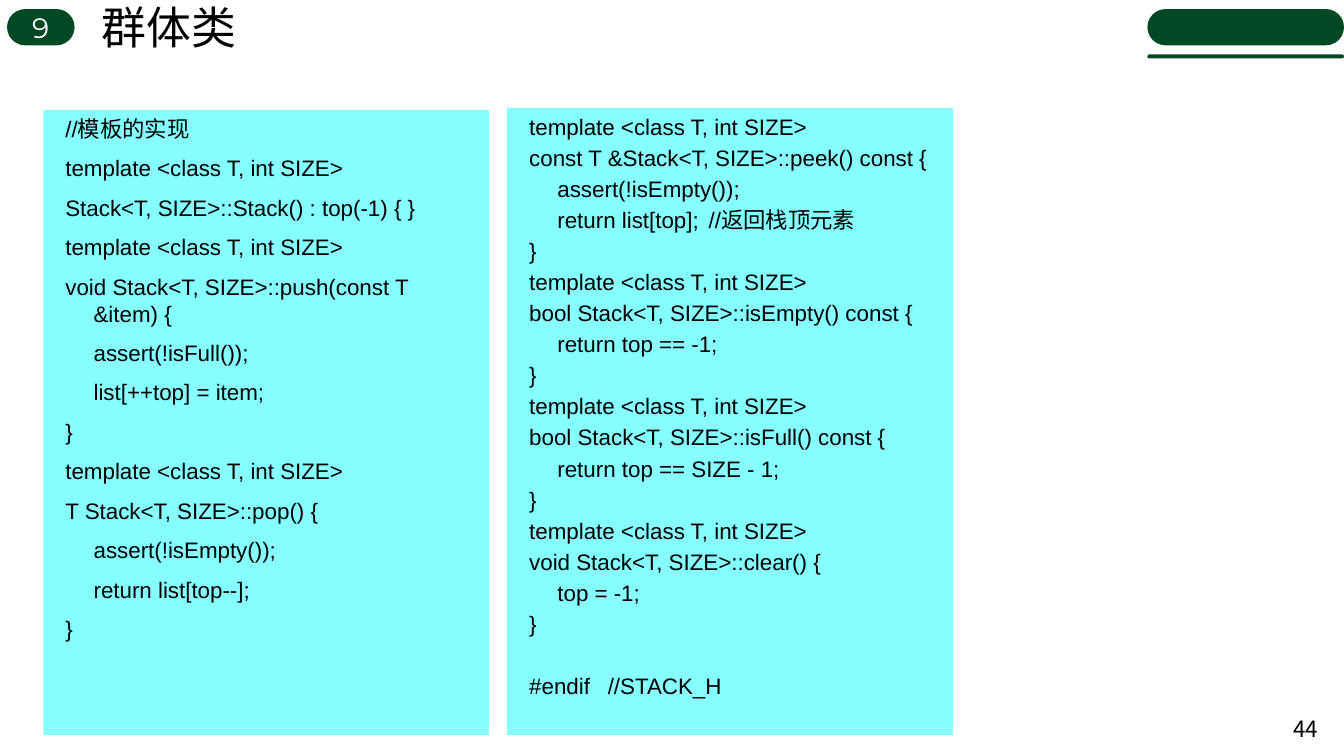
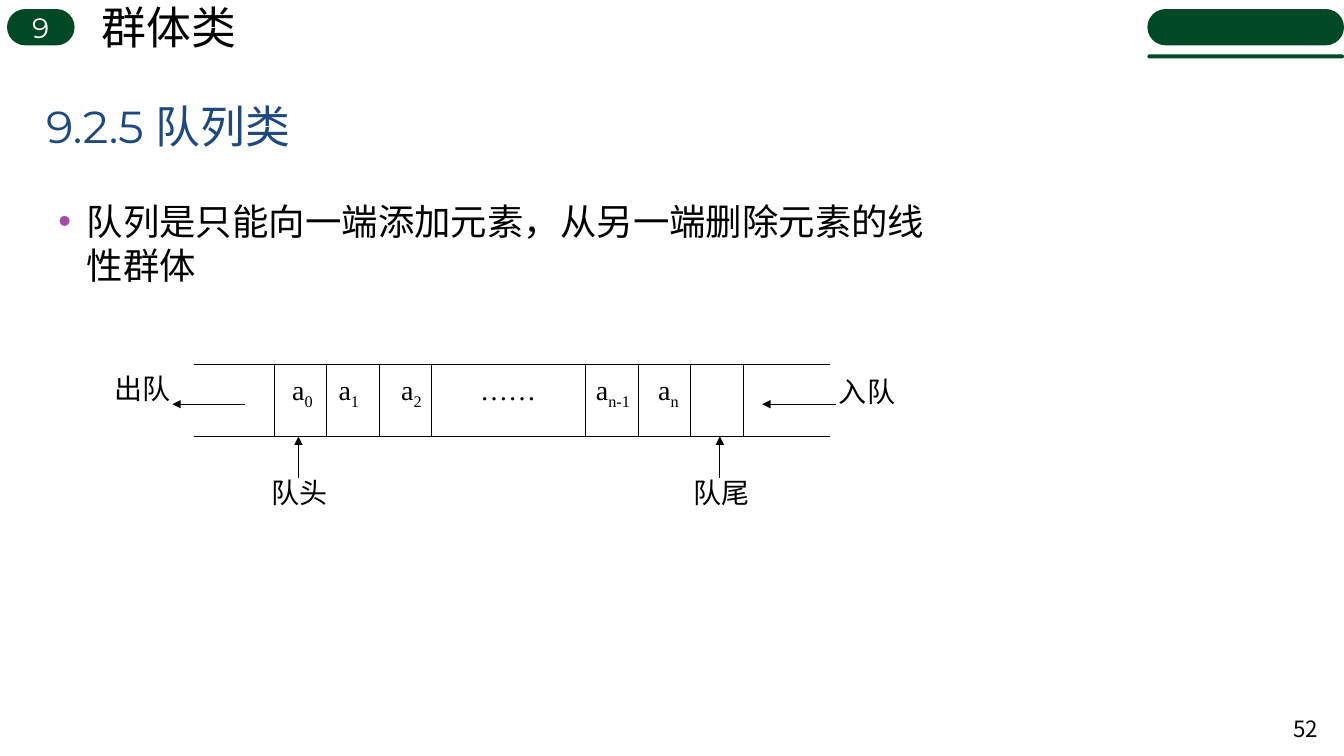
from dataclasses import dataclass

from lxml import etree
from pptx import Presentation
from pptx.dml.color import RGBColor
from pptx.enum.shapes import MSO_CONNECTOR, MSO_SHAPE
from pptx.enum.text import MSO_ANCHOR, MSO_AUTO_SIZE, PP_ALIGN
from pptx.oxml.ns import qn
from pptx.util import Inches, Pt

ROUNDED, RECTANGLE = MSO_SHAPE.ROUNDED_RECTANGLE, MSO_SHAPE.RECTANGLE
STRAIGHT = MSO_CONNECTOR.STRAIGHT
TOP, MIDDLE = MSO_ANCHOR.TOP, MSO_ANCHOR.MIDDLE
LEFT, CENTER, RIGHT = PP_ALIGN.LEFT, PP_ALIGN.CENTER, PP_ALIGN.RIGHT


@dataclass(frozen=True)
class Theme:
    green: RGBColor = RGBColor(0x01, 0x49, 0x24)
    cyan: RGBColor = RGBColor(0x85, 0xFF, 0xFF)
    blue: RGBColor = RGBColor(0x1F, 0x49, 0x7D)
    purple: RGBColor = RGBColor(0xA0, 0x4D, 0xA3)
    black: RGBColor = RGBColor(0, 0, 0)
    white: RGBColor = RGBColor(0xFF, 0xFF, 0xFF)
    sans: str = "Arial"
    display: str = "Montserrat"
    chinese: str = "Noto Sans CJK SC"
    serif: str = "Times New Roman"
    title_size: int = 32
    body_size: int = 26
    label_size: int = 20
    code_size: int = 16
    code_line: float = 19.2
    body_line: float = 32
    rule: float = 0.75
    hanging: float = 0.28
    indent: float = 0.4


THEME = Theme()

CHAPTER_NUMBER = "9"
CHAPTER_TITLE = "群体类"

TEMPLATE = "template <class T, int SIZE>"
CODE_LEFT = [
    "//模板的实现",
    TEMPLATE,
    "Stack<T, SIZE>::Stack() : top(-1) { }",
    TEMPLATE,
    "void Stack<T, SIZE>::push(const T &item) {",
    "\tassert(!isFull());",
    "\tlist[++top] = item;",
    "}",
    TEMPLATE,
    "T Stack<T, SIZE>::pop() {",
    "\tassert(!isEmpty());",
    "\treturn list[top--];",
    "}",
]
CODE_RIGHT = [
    TEMPLATE,
    "const T &Stack<T, SIZE>::peek() const {",
    "\tassert(!isEmpty());",
    "\treturn list[top];\t//返回栈顶元素",
    "}",
    TEMPLATE,
    "bool Stack<T, SIZE>::isEmpty() const {",
    "\treturn top == -1;",
    "}",
    TEMPLATE,
    "bool Stack<T, SIZE>::isFull() const {",
    "\treturn top == SIZE - 1;",
    "}",
    TEMPLATE,
    "void Stack<T, SIZE>::clear() {",
    "\ttop = -1;",
    "}",
    "#endif\t//STACK_H",
]
# Box, lines, space after each line
CODE_BOXES = [
    ((0.43, 1.09, 4.42, 6.2), CODE_LEFT, 6),
    ((5.03, 1.07, 4.42, 6.22), CODE_RIGHT, 0),
]

SECTION_TITLE = "9.2.5 队列类"
QUEUE_DEFINITION = "队列是只能向一端添加元素，从另一端删除元素的线性群体"

QUEUE_TOP, QUEUE_BOTTOM = 3.62, 4.33
QUEUE_LEFT, QUEUE_RIGHT = 1.92, 8.23
CELL = 0.52
# Left edge of each run of cells, number of dividers
DIVIDER_RUNS = [(2.72, 4), (5.81, 4)]
# Centre, then runs of (text, is subscript)
ELEMENTS = [
    (3.0, [("a", False), ("0", True)]),
    (3.46, [("a", False), ("1", True)]),
    (4.08, [("a", False), ("2", True)]),
    (5.04, [("……", False)]),
    (6.08, [("a", False), ("n-1", True)]),
    (6.63, [("a", False), ("n", True)]),
]
# Label, its centre, arrow start, arrow end
POINTERS = [
    ("队头", (2.97, 4.88), (2.96, 4.74), (2.96, QUEUE_BOTTOM)),
    ("队尾", (7.16, 4.88), (7.14, 4.74), (7.14, QUEUE_BOTTOM)),
    ("出队", (1.41, 3.85), (2.43, 4.01), (1.71, 4.01)),
    ("入队", (8.6, 3.88), (8.29, 4.01), (7.56, 4.01)),
]


def write(shape, paragraphs, *, size, font=THEME.sans, color=THEME.black,
          align=LEFT, anchor=TOP, wrap=True, margins=(0.1, 0.05),
          before=0, after=0, line=None, hanging=False, bullet=None):
    """Fill a shape; a paragraph is a string or a list of (text, is subscript)."""
    frame = shape.text_frame
    frame.auto_size = MSO_AUTO_SIZE.NONE
    frame.word_wrap = wrap
    frame.vertical_anchor = anchor
    frame.margin_left = frame.margin_right = Inches(margins[0])
    frame.margin_top = frame.margin_bottom = Inches(margins[1])
    for index, content in enumerate(paragraphs):
        paragraph = frame.add_paragraph() if index else frame.paragraphs[0]
        paragraph.alignment = align
        paragraph.space_before = Pt(before if index else 0)
        paragraph.space_after = Pt(after)
        if line:
            paragraph.line_spacing = Pt(line)
        properties = paragraph._p.get_or_add_pPr()
        if hanging:
            properties.set("marL", str(Inches(THEME.indent)))
            properties.set("indent", str(-Inches(THEME.hanging)))
        if bullet:
            bullet_color = etree.SubElement(properties, qn("a:buClr"))
            etree.SubElement(bullet_color, qn("a:srgbClr"), val=str(THEME.purple))
            etree.SubElement(properties, qn("a:buFont"), typeface=THEME.sans)
            etree.SubElement(properties, qn("a:buChar"), char=bullet)
        runs = [(content, False)] if isinstance(content, str) else content
        for text, subscript in runs:
            run = paragraph.add_run()
            run.text = text
            run.font.size = Pt(size)
            run.font.name = font
            run.font.color.rgb = color
            run_properties = run.font._element
            etree.SubElement(run_properties, qn("a:ea"), typeface=THEME.chinese)
            if subscript:
                run_properties.set("baseline", "-25000")


def place(shape, box):
    shape.left, shape.top, shape.width, shape.height = map(Inches, box)
    return shape


def add_text(slide, box, paragraphs, **text_format):
    write(slide.shapes.add_textbox(*map(Inches, box)), paragraphs, **text_format)


def add_panel(slide, kind, box, color):
    shape = slide.shapes.add_shape(kind, *map(Inches, box))
    shape.shadow.inherit = False
    shape.fill.solid()
    shape.fill.fore_color.rgb = color
    shape.line.fill.background()
    if kind == ROUNDED:
        shape.adjustments[0] = 0.5
    return shape


def add_line(slide, start, end, arrow=False):
    connector = slide.shapes.add_connector(STRAIGHT, *map(Inches, start + end))
    connector.line.color.rgb = THEME.black
    connector.line.width = Pt(THEME.rule)
    if arrow:
        etree.SubElement(connector.line._get_or_add_ln(), qn("a:tailEnd"), type="triangle")
    etree.SubElement(connector._element.spPr, qn("a:effectLst"))


def add_slide(presentation, layout_name, number):
    """Add a slide with the chapter band, title and page number."""
    slide = presentation.slides.add_slide(
        presentation.slide_layouts.get_by_name(layout_name))
    badge = add_panel(slide, ROUNDED, (0.07, 0.09, 0.67, 0.36), THEME.green)
    write(badge, [CHAPTER_NUMBER], size=THEME.label_size, font=THEME.display,
          color=THEME.white, align=CENTER, anchor=MIDDLE)
    write(place(slide.shapes.title, (0.91, -0.06, 1.55, 0.64)), [CHAPTER_TITLE],
          size=THEME.title_size, anchor=MIDDLE, wrap=False)
    for top, height in [(0.09, 0.36), (0.54, 0.04)]:
        add_panel(slide, ROUNDED, (11.38, top, 1.95, height), THEME.green)
    add_text(slide, (12.68, 7.03, 0.49, 0.4), [number], size=THEME.code_size,
             font=THEME.chinese, align=RIGHT, anchor=MIDDLE)
    return slide


def build_code_slide(presentation):
    slide = add_slide(presentation, "Title Only", "44")
    for box, lines, after in CODE_BOXES:
        panel = add_panel(slide, RECTANGLE, box, THEME.cyan)
        write(panel, lines, size=THEME.code_size, before=3, after=after,
              line=THEME.code_line, hanging=True)
        if lines[-1].startswith("#endif"):
            panel.text_frame.paragraphs[-1].space_before = Pt(THEME.code_line + 6)


def build_queue_slide(presentation):
    slide = add_slide(presentation, "Title and Content", "52")
    add_text(slide, (0.36, 0.81, 9, 0.88), [SECTION_TITLE], size=THEME.title_size,
             font=THEME.display, color=THEME.blue, anchor=MIDDLE)
    write(place(slide.placeholders[1], (0.36, 1.91, 9.14, 1.2)), [QUEUE_DEFINITION],
          size=THEME.body_size, font=THEME.chinese, after=12, line=THEME.body_line,
          hanging=True, bullet="•")

    for y in (QUEUE_TOP, QUEUE_BOTTOM):
        add_line(slide, (QUEUE_LEFT, y), (QUEUE_RIGHT, y))
    for left, count in DIVIDER_RUNS:
        for index in range(count):
            x = left + index * CELL
            add_line(slide, (x, QUEUE_TOP), (x, QUEUE_BOTTOM))

    label_format = dict(size=THEME.label_size, font=THEME.serif, align=CENTER,
                        wrap=True, margins=(0, 0))
    for center, runs in ELEMENTS:
        add_text(slide, (center - 0.4, 3.7, 0.8, 0.5), [runs], **label_format)
    for label, (x, y), start, end in POINTERS:
        add_line(slide, start, end, arrow=True)
        add_text(slide, (x - 0.5, y - 0.25, 1, 0.5), [label],
                 anchor=MIDDLE, **label_format)


def main():
    presentation = Presentation()
    presentation.slide_width = Inches(13.33)
    presentation.slide_height = Inches(7.5)
    build_code_slide(presentation)
    build_queue_slide(presentation)
    presentation.save("out.pptx")


if __name__ == "__main__":
    main()
